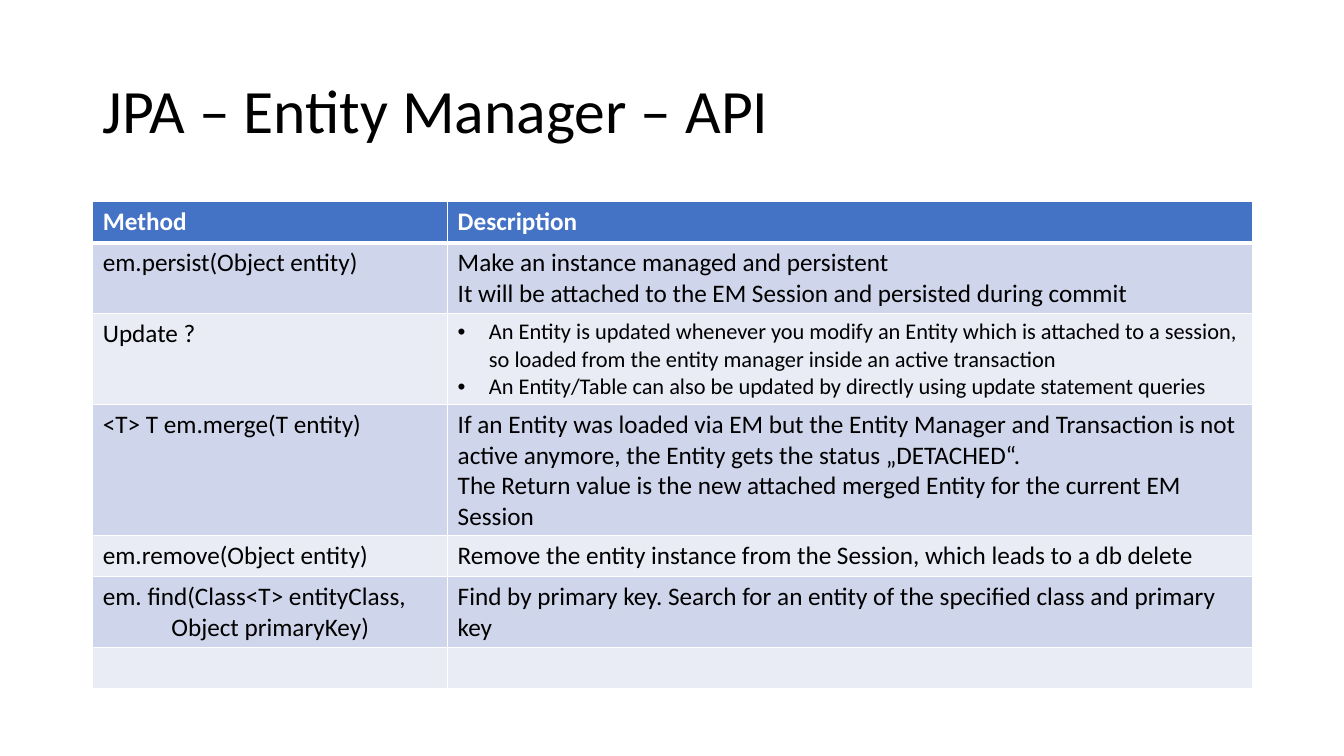
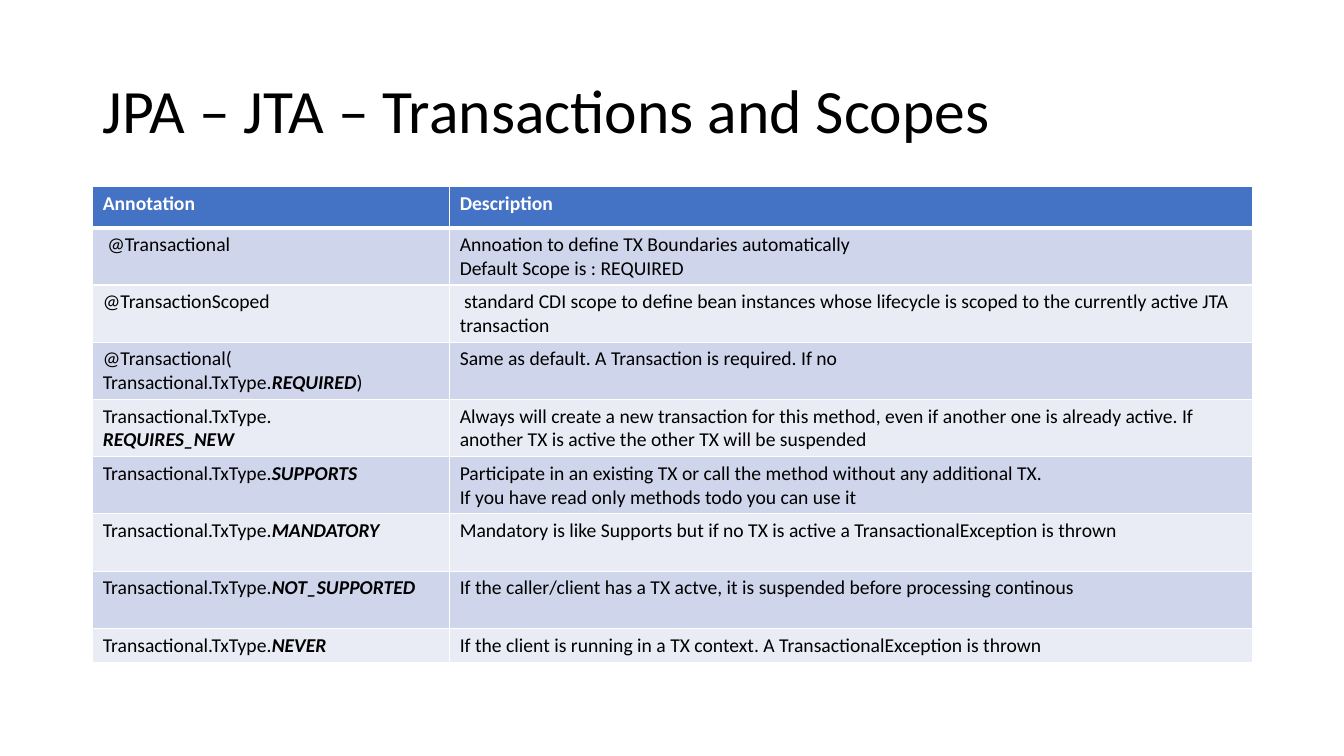
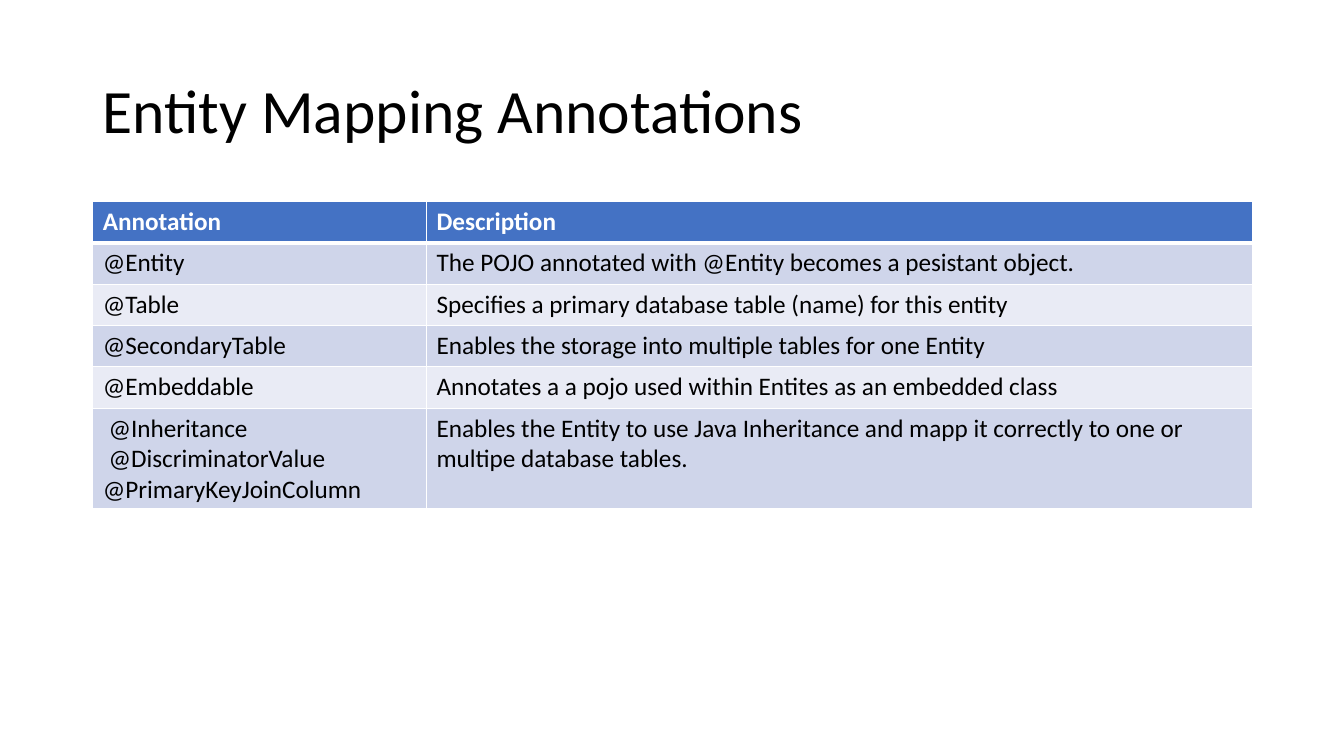
"""Build three JPA reference slides, each with a title and a two-column table."""
from dataclasses import dataclass

from lxml import etree
from pptx import Presentation
from pptx import util as u
from pptx.dml.color import RGBColor
from pptx.enum import text
from pptx.oxml import ns


@dataclass(frozen=True)
class Theme:
    font: str = "Calibri"
    ink: str = "000000"
    paper: str = "FFFFFF"
    header: str = "4472C4"
    bands: tuple = ("E9EBF5", "CFD5EA")
    title_size: int = 44
    bullet_size: int = 16
    border: int = 1
    header_border: int = 3


THEME = Theme()
WIDTH, HEIGHT = 13.33, 7.5
MARGIN = 0.92
CONTENT_WIDTH = 11.5
TITLE_TOP, TITLE_HEIGHT = 0.4, 1.45
ROW_HEIGHT = 0.41
BULLET, INDENT, EMPHASIS = "• ", "> ", "*"
BULLET_INDENT, CODE_INDENT = 0.31, 0.68

SLIDES = [
    {
        "title": "JPA – Entity Manager – API",
        "top": 2, "size": 18, "first_column": 3.52, "heights": {},
        "rows": [
            ("Method", "Description"),
            ("em.persist(Object entity)",
             "Make an instance managed and persistent\n"
             "It will be attached to the EM Session and persisted during commit"),
            ("Update ?",
             "• An Entity is updated whenever you modify an Entity which is attached "
             "to a session, so loaded from the entity manager inside an active transaction\n"
             "• An Entity/Table can also be updated by directly using update statement queries"),
            ("<T> T em.merge(T entity)",
             "If an Entity was loaded via EM but the Entity Manager and Transaction is not "
             "active anymore, the Entity gets the status „DETACHED“.\n"
             "The Return value is the new attached merged Entity for the current EM Session"),
            ("em.remove(Object entity)",
             "Remove the entity instance from the Session, which leads to a db delete"),
            ("em. find(Class<T> entityClass,\n> Object primaryKey)",
             "Find by primary key. Search for an entity of the specified class and primary key"),
            ("", ""),
        ],
    },
    {
        "title": "JPA – JTA – Transactions and Scopes",
        "top": 1.85, "size": 14, "first_column": 3.54,
        "heights": {6: 0.57, 7: 0.57, 8: 0.33},
        "rows": [
            ("Annotation", "Description"),
            (" @Transactional",
             "Annoation to define TX Boundaries automatically\nDefault Scope is : REQUIRED"),
            ("@TransactionScoped",
             " standard CDI scope to define bean instances whose lifecycle is scoped "
             "to the currently active JTA transaction"),
            ("@Transactional(\nTransactional.TxType.*REQUIRED*)",
             "Same as default. A Transaction is required. If no"),
            ("Transactional.TxType.\n*REQUIRES_NEW*",
             "Always will create a new transaction for this method, even if another one is "
             "already active. If another TX is active the other TX will be suspended"),
            ("Transactional.TxType.*SUPPORTS*",
             "Participate in an existing TX or call the method without any additional TX.\n"
             "If you have read only methods todo you can use it"),
            ("Transactional.TxType.*MANDATORY*",
             "Mandatory is like Supports but if no TX is active a "
             "TransactionalException is thrown"),
            ("Transactional.TxType.*NOT_SUPPORTED*",
             "If the caller/client has a TX actve, it is suspended before processing continous"),
            ("Transactional.TxType.*NEVER*",
             "If the client is running in a TX context. A TransactionalException is thrown"),
        ],
    },
    {
        "title": "Entity Mapping Annotations",
        "top": 2, "size": 18, "first_column": 3.31, "heights": {},
        "rows": [
            ("Annotation", "Description"),
            ("@Entity", "The POJO annotated with @Entity becomes a pesistant object."),
            ("@Table", "Specifies a primary database table (name) for this entity"),
            ("@SecondaryTable", "Enables the storage into multiple tables for one Entity"),
            ("@Embeddable", "Annotates a a pojo used within Entites as an embedded class"),
            (" @Inheritance\n @DiscriminatorValue\n@PrimaryKeyJoinColumn",
             "Enables the Entity to use Java Inheritance and mapp it correctly "
             "to one or multipe database tables."),
        ],
    },
]


def add_run(paragraph, words, color, **formats):
    run = paragraph.add_run()
    run.text = words
    for name, value in {"name": THEME.font, **formats}.items():
        setattr(run.font, name, value)
    run.font.color.rgb = RGBColor.from_string(color)


def indent(paragraph, left, first=0.0):
    properties = paragraph._p.get_or_add_pPr()
    properties.set("marL", str(u.Inches(left)))
    properties.set("indent", str(u.Inches(first)))
    return properties


def write_line(paragraph, line, size, header):
    if line.startswith(BULLET):
        properties = indent(paragraph, BULLET_INDENT, -BULLET_INDENT)
        etree.SubElement(properties, ns.qn("a:buFont"), typeface="Arial")
        etree.SubElement(properties, ns.qn("a:buChar"), char=BULLET.strip())
        line, size = line.removeprefix(BULLET), THEME.bullet_size
    elif line.startswith(INDENT):
        indent(paragraph, CODE_INDENT)
        line = line.removeprefix(INDENT)
    for position, words in enumerate(line.split(EMPHASIS)):
        strong = position % 2 == 1
        if words:
            add_run(paragraph, words, THEME.paper if header else THEME.ink,
                    size=u.Pt(size), bold=header or strong, italic=strong)


def set_borders(cell, row):
    widths = {
        "lnL": THEME.border,
        "lnR": THEME.border,
        "lnT": THEME.header_border if row == 1 else THEME.border,
        "lnB": THEME.header_border if row == 0 else THEME.border,
    }
    for side, width in widths.items():
        line = etree.SubElement(cell._tc.get_or_add_tcPr(), ns.qn(f"a:{side}"),
                                w=str(u.Pt(width)))
        fill = etree.SubElement(line, ns.qn("a:solidFill"))
        etree.SubElement(fill, ns.qn("a:srgbClr"), val=THEME.paper)


def fill_cell(cell, content, row, size):
    set_borders(cell, row)
    cell.fill.solid()
    color = THEME.bands[row % 2] if row else THEME.header
    cell.fill.fore_color.rgb = RGBColor.from_string(color)
    for position, line in enumerate(content.split("\n")):
        frame = cell.text_frame
        paragraph = frame.add_paragraph() if position else frame.paragraphs[0]
        write_line(paragraph, line, size, row == 0)


def add_title(slide, words):
    box = slide.shapes.add_textbox(*map(
        u.Inches, (MARGIN, TITLE_TOP, CONTENT_WIDTH, TITLE_HEIGHT)))
    frame = box.text_frame
    frame.word_wrap = True
    frame.vertical_anchor = text.MSO_ANCHOR.MIDDLE
    paragraph = frame.paragraphs[0]
    paragraph.line_spacing = 0.9
    add_run(paragraph, words, THEME.ink, size=u.Pt(THEME.title_size))


def add_method_table(slide, content):
    rows = content["rows"]
    heights = [content["heights"].get(row, ROW_HEIGHT) for row in range(len(rows))]
    table = slide.shapes.add_table(len(rows), 2, *map(
        u.Inches, (MARGIN, content["top"], CONTENT_WIDTH, sum(heights)))).table
    first = content["first_column"]
    for column, width in zip(table.columns, (first, CONTENT_WIDTH - first)):
        column.width = u.Inches(width)
    for row, cells in enumerate(rows):
        table.rows[row].height = u.Inches(heights[row])
        for column, words in enumerate(cells):
            fill_cell(table.cell(row, column), words, row, content["size"])


def main():
    presentation = Presentation()
    presentation.slide_width = u.Inches(WIDTH)
    presentation.slide_height = u.Inches(HEIGHT)
    for content in SLIDES:
        slide = presentation.slides.add_slide(presentation.slide_layouts[6])
        add_title(slide, content["title"])
        add_method_table(slide, content)
    presentation.save("out.pptx")


if __name__ == "__main__":
    main()
